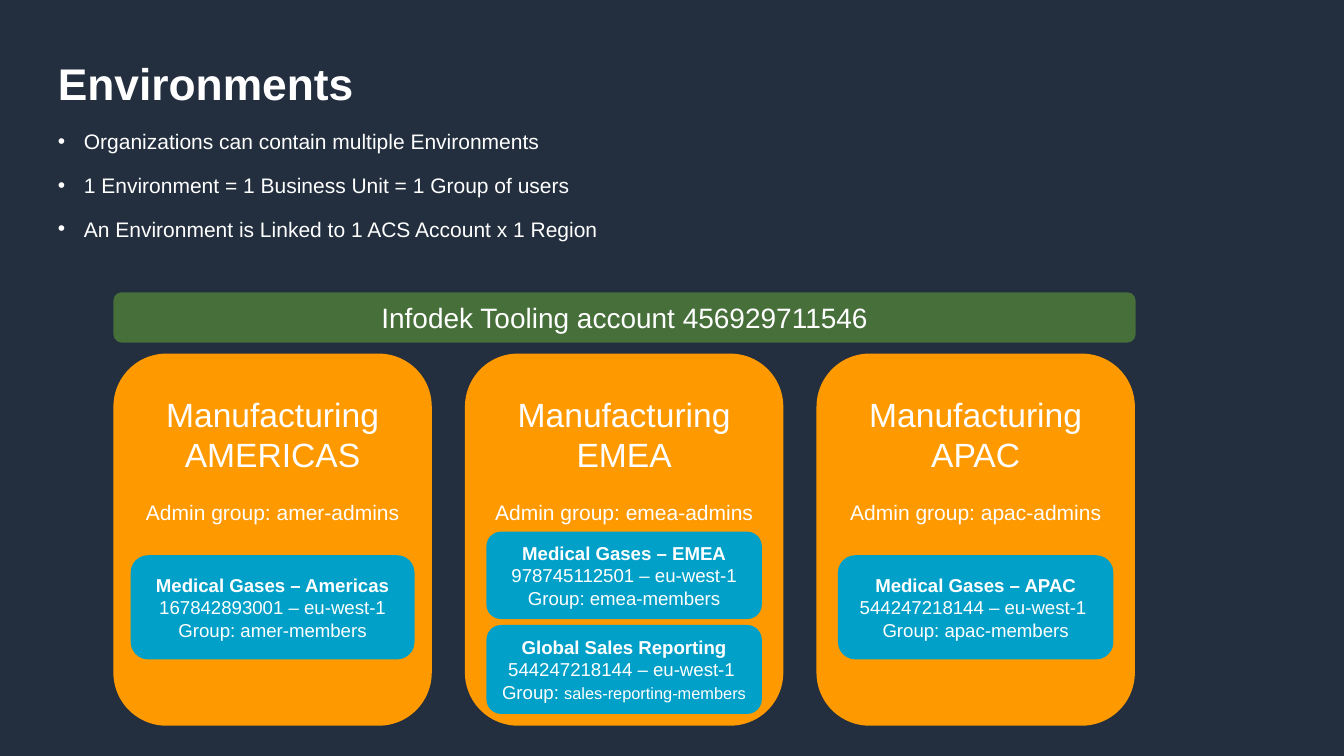
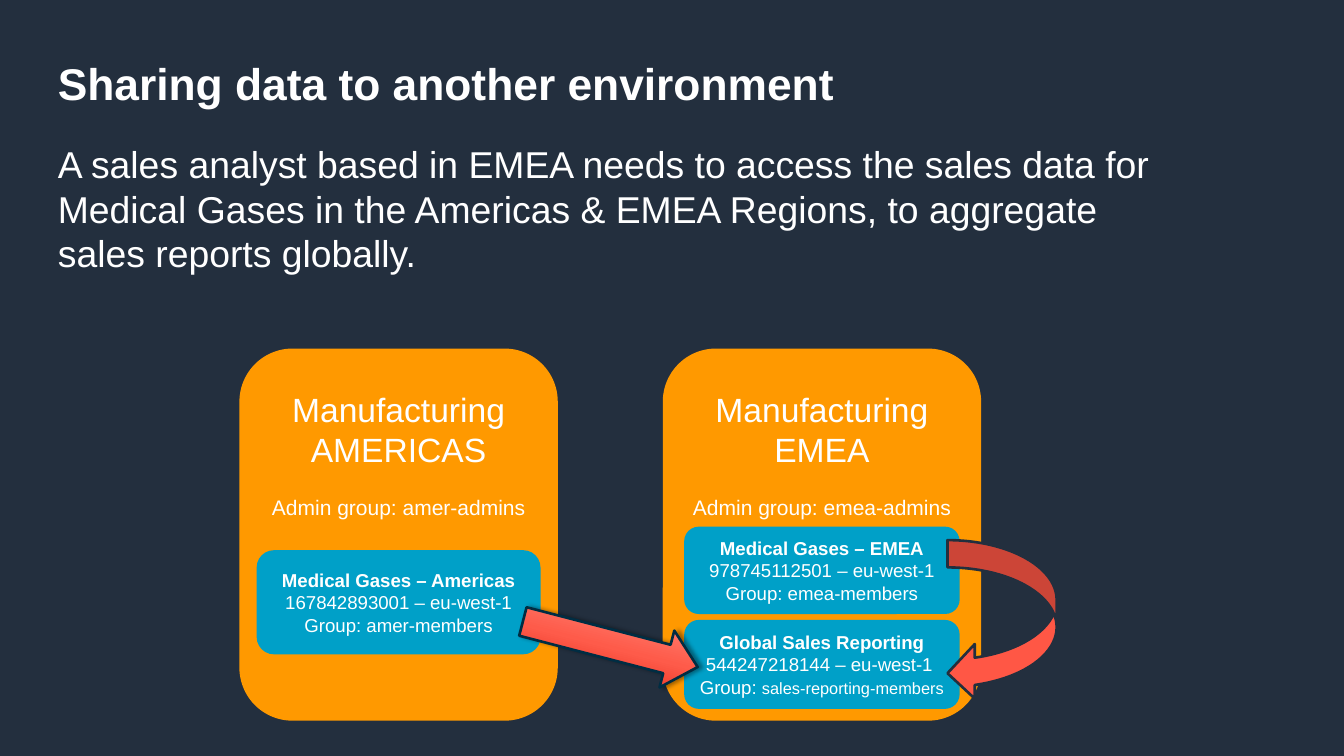
import pptx
import pptx.dml.color
import pptx.enum.shapes
import pptx.enum.text
import pptx.oxml
import pptx.oxml.ns
import pptx.util
from lxml import etree

Inches, Pt = pptx.util.Inches, pptx.util.Pt
SHAPE = pptx.enum.shapes.MSO_SHAPE
ALIGN = pptx.enum.text.PP_ALIGN
ANCHOR = pptx.enum.text.MSO_ANCHOR
qn = pptx.oxml.ns.qn

FONT = "Arial"
COLORS = {
    "background": "232F3E", "text": "FFFFFF", "environment": "FF9900",
    "account": "00A0C8", "tooling": "466F3A", "curve": "FF5745",
    "arrow_line": "002D43", "shadow": "000000",
}
ARROW_STOPS = [(0, "D91500"), (48, "FE5B4A"), (100, "FF998F")]

BULLETS = [
    "Organizations can contain multiple Environments",
    "1 Environment = 1 Business Unit = 1 Group of users",
    "An Environment is Linked to 1 ACS Account x 1 Region",
]
TOOLING = "Infodek Tooling account 456929711546"
SCENARIO = ("A sales analyst based in EMEA needs to access the sales data for "
            "Medical Gases in the Americas & EMEA Regions, to aggregate "
            "sales reports globally.")

# Accounts: name, number and region, members, size of members,
# then offset from the card top, width and height.
ENVIRONMENTS = {
    "AMERICAS": ("amer-admins", [
        ("Medical Gases – Americas", "167842893001 – eu-west-1",
         "amer-members", 16, 2.4, 3.38, 1.24)]),
    "EMEA": ("emea-admins", [
        ("Medical Gases – EMEA", "978745112501 – eu-west-1",
         "emea-members", 16, 2.12, 3.28, 1.04),
        ("Global Sales Reporting", "544247218144 – eu-west-1 ",
         "sales-reporting-members", 14, 3.23, 3.28, 1.06)]),
    "APAC": ("apac-admins", [
        ("Medical Gases – APAC", "544247218144 – eu-west-1 ",
         "apac-members", 16, 2.4, 3.28, 1.24)]),
}
CARD_W, CARD_H = 3.79, 4.43


def rgb(name):
    return pptx.dml.color.RGBColor.from_string(COLORS[name])


def add_text(tf, text, size=18, bold=False, align=ALIGN.LEFT, before=0,
             bullet=False, same_line=False):
    """Fill the empty first paragraph, add a new one, or extend the last."""
    last = tf.paragraphs[-1]
    p = last if same_line or not last.runs else tf.add_paragraph()
    if not same_line:
        p.alignment = align
        p.space_before = Pt(before)
    if bullet:
        pPr = p._p.get_or_add_pPr()
        pPr.set("marL", str(Inches(0.31)))
        pPr.set("indent", str(-Inches(0.31)))
        etree.SubElement(pPr, qn("a:buFont")).set("typeface", FONT)
        etree.SubElement(pPr, qn("a:buChar")).set("char", "•")
    r = p.add_run()
    r.text = text
    r.font.name, r.font.size, r.font.bold = FONT, Pt(size), bold
    r.font.color.rgb = rgb("text")


def add_box(slide, x, y, w, h):
    tf = slide.shapes.add_textbox(*map(Inches, (x, y, w, h))).text_frame
    tf.word_wrap = True
    return tf


def add_shape(slide, kind, x, y, w, h, fill, line=None):
    sp = slide.shapes.add_shape(kind, *map(Inches, (x, y, w, h)))
    sp.shadow.inherit = False
    sp.fill.solid()
    sp.fill.fore_color.rgb = rgb(fill)
    if line:
        sp.line.color.rgb = rgb(line)
        sp.line.width = Pt(2.25)
    else:
        sp.line.fill.background()
    sp.text_frame.word_wrap = True
    sp.text_frame.vertical_anchor = ANCHOR.MIDDLE
    return sp


def add_slide(prs, title):
    slide = prs.slides.add_slide(prs.slide_layouts[6])
    slide.background.fill.solid()
    slide.background.fill.fore_color.rgb = rgb("background")
    add_text(add_box(slide, 0.59, 0.62, 14.36, 0.86), title, size=38, bold=True)
    return slide


def add_environment(slide, region, x, y):
    admins, accounts = ENVIRONMENTS[region]
    card = add_shape(slide, SHAPE.ROUNDED_RECTANGLE, x, y, CARD_W, CARD_H,
                     "environment")
    tf = card.text_frame
    tf.vertical_anchor = ANCHOR.TOP
    tf.margin_top = Inches(0.29)
    add_text(tf, f"Manufacturing {region}", size=28.8, align=ALIGN.CENTER)
    add_text(tf, f"Admin group: {admins}", align=ALIGN.CENTER, before=21.5)
    for name, number, members, members_size, dy, w, h in accounts:
        tf = add_shape(slide, SHAPE.ROUNDED_RECTANGLE, x + (CARD_W - w) / 2,
                       y + dy, w, h, "account").text_frame
        add_text(tf, name, size=16, bold=True, align=ALIGN.CENTER)
        add_text(tf, number, size=16, align=ALIGN.CENTER)
        add_text(tf, "Group: ", size=16, align=ALIGN.CENTER)
        add_text(tf, members, size=members_size, same_line=True)


def add_color(parent, value):
    color = etree.SubElement(parent, qn("a:srgbClr"))
    color.set("val", value)
    return color


def set_gradient(sp, stops):
    sp.fill.gradient()
    sp.fill.gradient_angle = 90
    gs_list = sp._element.spPr.find(".//" + qn("a:gsLst"))
    for gs in list(gs_list):
        gs_list.remove(gs)
    for position, value in stops:
        gs = etree.SubElement(gs_list, qn("a:gs"))
        gs.set("pos", str(position * 1000))
        add_color(gs, value)


def set_shadow(sp, alpha, blur, distance):
    effects = sp._element.spPr.find(qn("a:effectLst"))
    shadow = etree.SubElement(effects, qn("a:outerShdw"))
    shadow.set("blurRad", str(Pt(blur)))
    shadow.set("dist", str(Pt(distance)))
    shadow.set("dir", "0")
    color = add_color(shadow, COLORS["shadow"])
    etree.SubElement(color, qn("a:alpha")).set("val", str(alpha * 1000))


def build_environments(prs):
    slide = add_slide(prs, "Environments")
    tf = add_box(slide, 0.59, 1.48, 12.92, 1.7)
    for i, text in enumerate(BULLETS):
        add_text(tf, text, bullet=True, before=16 if i else 0)
    for i, region in enumerate(ENVIRONMENTS):
        add_environment(slide, region, 1.35 + i * 4.185, 4.21)
    bar = add_shape(slide, SHAPE.ROUNDED_RECTANGLE, 1.35, 3.48, 12.17, 0.6,
                    "tooling")
    add_text(bar.text_frame, TOOLING, size=24, align=ALIGN.CENTER)


def build_sharing(prs):
    slide = add_slide(prs, "Sharing data to another environment")
    add_text(add_box(slide, 0.59, 1.63, 13.59, 1.8), SCENARIO, size=32)
    for i, region in enumerate(("AMERICAS", "EMEA")):
        add_environment(slide, region, 2.85 + i * 5.04, 4.15)
    arrow = add_shape(slide, SHAPE.RIGHT_ARROW, 6.19, 7.32, 2.15, 0.7,
                      "curve", "arrow_line")
    arrow.rotation = 14.6
    arrow.adjustments[1] = 0.54
    set_gradient(arrow, ARROW_STOPS)
    set_shadow(arrow, alpha=40, blur=4, distance=3)
    add_shape(slide, SHAPE.CURVED_LEFT_ARROW, 11.28, 6.43, 1.3, 1.91,
              "curve", "background")


def main():
    prs = pptx.Presentation()
    prs.slide_width, prs.slide_height = Inches(16), Inches(9)
    build_environments(prs)
    build_sharing(prs)
    prs.save("out.pptx")


if __name__ == "__main__":
    main()
